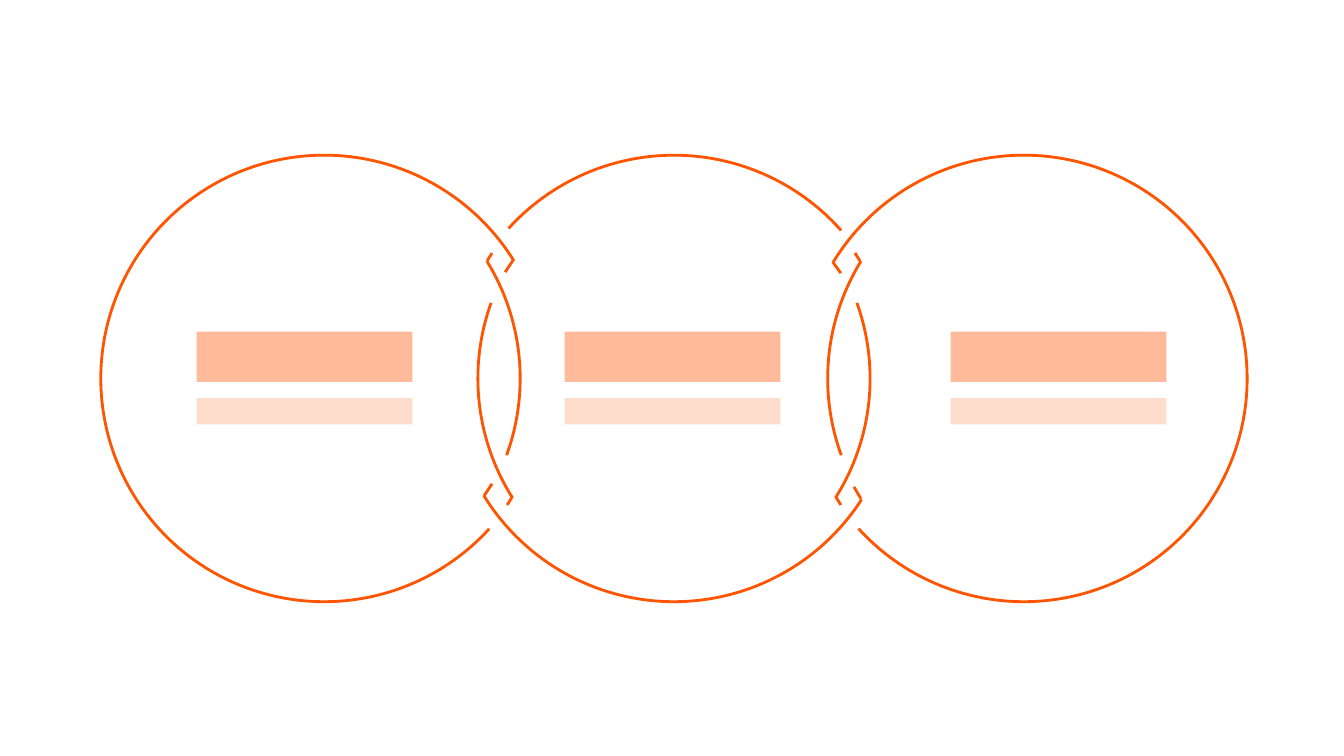
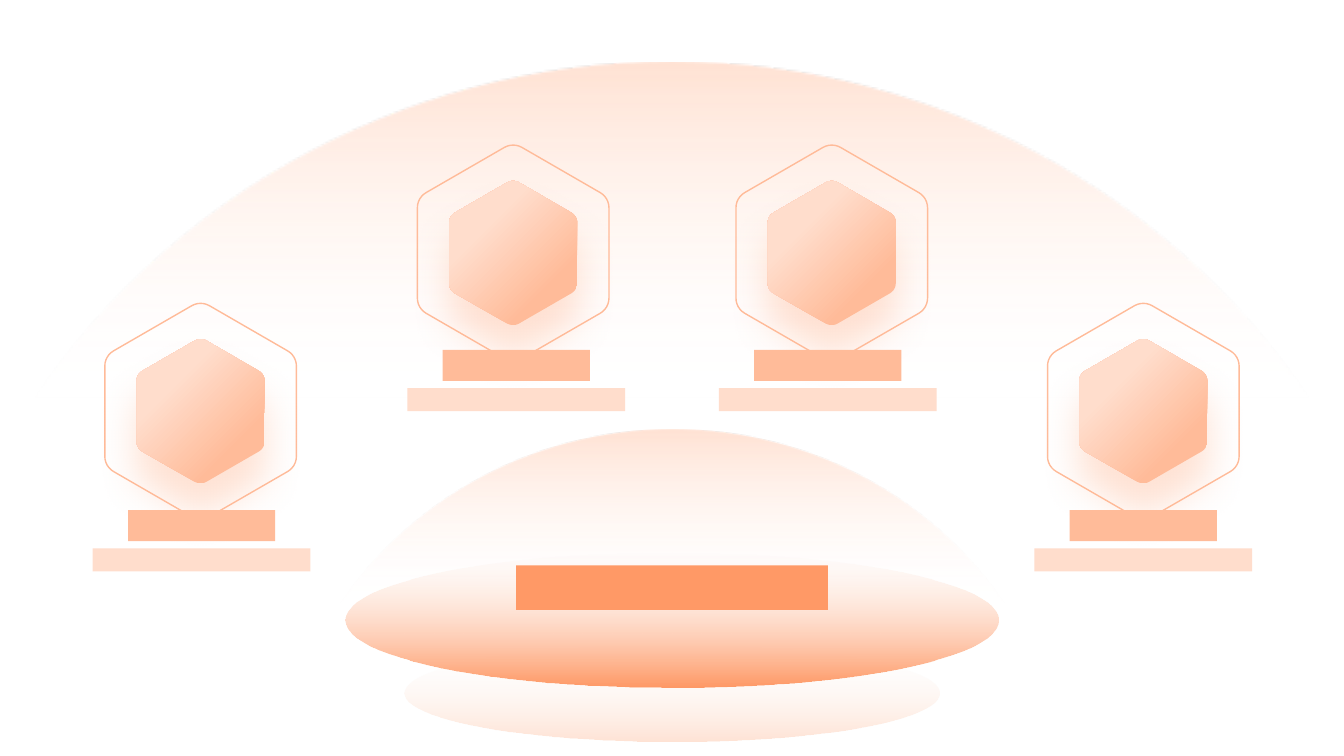
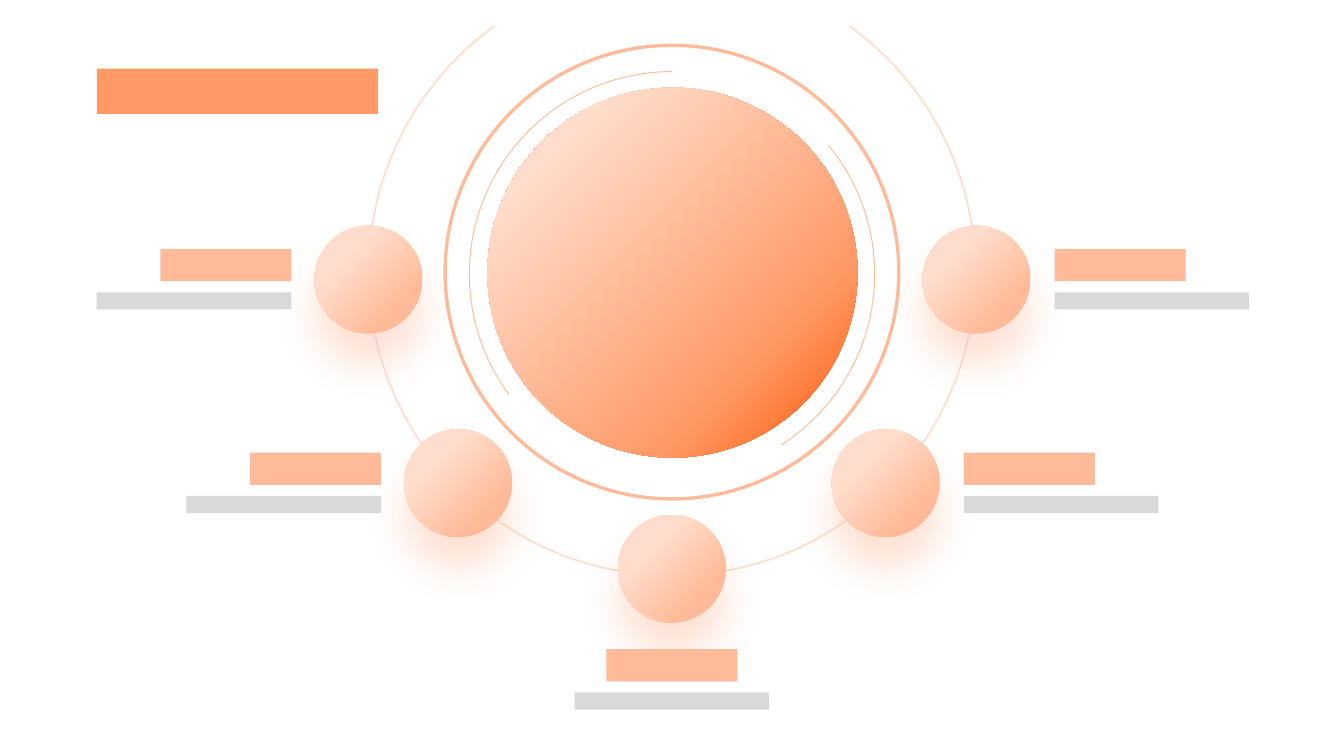
from math import cos, radians, sin

from pptx import Presentation
from pptx.dml.color import RGBColor
from pptx.enum.shapes import MSO_CONNECTOR, MSO_SHAPE
from pptx.oxml import parse_xml
from pptx.oxml.ns import nsdecls
from pptx.util import Inches, Pt

WIDTH, HEIGHT = 13.33, 7.5
VIVID, STRONG, MEDIUM, PALE, GREY = "FF5500", "FF9966", "FFBB99", "FFDDCC", "D9D9D9"
FADE_DOWN = [(0, STRONG, 28), (22, "FFFFFF", 0)]
SPHERE = [(30, PALE, 100), (76, MEDIUM, 100)]
CORE = [(17, PALE, 100), (73, STRONG, 100), (100, VIVID, 100)]

RING = {"left": 1, "step": 3.47, "shift": 0.27, "size": 4.43, "top": 1.54}
RING_ARCS = [
    (0, 0, 42.33, 328.23), (0, -1, 328.3, 20.1),
    (1, 0, 222.21, 318.46), (1, 0, 32.84, 148.3),
    (1, 1, 147.69, 199.78), (1, -1, 340.22, 32.31),
    (2, 0, 211.26, 137.73), (2, 1, 159.9, 211.7),
]
RING_TICKS = [
    (4.88, 2.51, 4.83, 2.59), (5.09, 2.58, 5.01, 2.7),
    (5.03, 5.01, 5.08, 4.93), (4.8, 4.92, 4.88, 4.8),
    (8.48, 2.51, 8.53, 2.59), (8.26, 2.6, 8.34, 2.71),
    (8.34, 5.01, 8.29, 4.93), (8.54, 4.95, 8.47, 4.83),
]
RING_LABELS = [1.95, 5.6, 9.43]

DOMES = [(-0.99, 0.62, 15.32), (2.66, 4.26, 8.02)]
PLATES = [
    (4.01, 6.39, 5.31, 0.97, [(0, STRONG, 28), (100, "FFFFFF", 0)]),
    (3.43, 5.48, 6.47, 1.34, [(0, STRONG, 100), (100, PALE, 0)]),
]
HEXAGONS = [
    (1.99, 4.08, 2, 5.06), (11.34, 4.08, 11.34, 5.06),
    (5.09, 2.51, 5.12, 3.47), (8.25, 2.51, 8.21, 3.47),
]

ORBIT_X = WIDTH / 2
ORBITS = [
    (2.7, 3.01, 305.8, 234.2, PALE, 1.25),
    (2.72, 2.01, 143.5, 270, MEDIUM, 0.67),
    (2.72, 2.01, 320.5, 57.4, MEDIUM, 0.67),
]
MOON = 1.07
MOONS = [
    (6.13, 5.11, "below"), (4.01, 4.26, "left"), (8.25, 4.26, "right"),
    (3.12, 2.24, "left"), (9.15, 2.24, "right"),
]


def color(value):
    return RGBColor.from_string(value)


def paint_gradient(shape, stops, angle=None):
    marks = "".join(
        f'<a:gs pos="{at * 1000}"><a:srgbClr val="{tone}"><a:alpha val="{alpha * 1000}"/></a:srgbClr></a:gs>'
        for at, tone, alpha in stops)
    if angle is None:
        course = '<a:path path="circle"><a:fillToRect r="100000" b="100000"/></a:path>'
    else:
        course = f'<a:lin ang="{angle * 60000}" scaled="0"/>'
    shape.fill.background()
    properties = shape._element.spPr
    gradient = parse_xml(f'<a:gradFill {nsdecls("a")} rotWithShape="1"><a:gsLst>{marks}</a:gsLst>{course}</a:gradFill>')
    properties.replace(properties.find("{*}noFill"), gradient)


def cast_shadow(shape):
    glow = parse_xml(
        f'<a:outerShdw {nsdecls("a")} blurRad="{Pt(27)}" dist="{Pt(22)}" dir="5400000" algn="t" rotWithShape="0">'
        f'<a:srgbClr val="{MEDIUM}"><a:alpha val="42000"/></a:srgbClr></a:outerShdw>')
    shape._element.spPr.find("{*}effectLst").append(glow)


def style(shape, fill=None, line=None, weight=1, angle=None):
    shape.shadow.inherit = False
    if isinstance(fill, list):
        paint_gradient(shape, fill, angle)
    elif fill:
        shape.fill.solid()
        shape.fill.fore_color.rgb = color(fill)
    else:
        shape.fill.background()
    if line:
        shape.line.color.rgb = color(line)
        shape.line.width = Pt(weight)
    else:
        shape.line.fill.background()
    return shape


def draw(slide, kind, left, top, width, height, **look):
    box = [Inches(length) for length in (left, top, width, height)]
    return style(slide.shapes.add_shape(kind, *box), **look)


def bar(slide, left, top, width, height, fill):
    draw(slide, MSO_SHAPE.RECTANGLE, left, top, width, height, fill=fill)


def ellipse(slide, left, top, width, height, **look):
    return draw(slide, MSO_SHAPE.OVAL, left, top, width, height, **look)


def arc(slide, left, top, size, start, end, line, weight):
    curve = draw(slide, MSO_SHAPE.ARC, left, top, size, size, line=line, weight=weight)
    for index, degrees in enumerate((start, end)):
        curve.adjustments[index] = degrees * 0.6


def tick(slide, x1, y1, x2, y2):
    stroke = slide.shapes.add_connector(
        MSO_CONNECTOR.STRAIGHT, *[Inches(length) for length in (x1, y1, x2, y2)])
    stroke.line.color.rgb = color(VIVID)
    stroke.line.width = Pt(2)
    stroke._element.spPr.append(parse_xml(f'<a:effectLst {nsdecls("a")}/>'))


def rounded_hexagon(slide, x, y, width, **look):
    radius = width / 3 ** 0.5
    corner = 0.158 * radius
    reach = radius - corner / cos(radians(30))
    points = [
        (Inches(x + reach * cos(radians(vertex)) + corner * cos(radians(vertex + turn))),
         Inches(y + reach * sin(radians(vertex)) + corner * sin(radians(vertex + turn))))
        for vertex in range(-90, 270, 60) for turn in range(-30, 31, 10)]
    outline = slide.shapes.build_freeform(*points[0])
    outline.add_line_segments(points[1:], close=True)
    return style(outline.convert_to_shape(), **look)


def build_rings(slide):
    for ring, shift, start, end in RING_ARCS:
        left = RING["left"] + ring * RING["step"] + shift * RING["shift"]
        arc(slide, left, RING["top"], RING["size"], start, end, VIVID, 2)
    for ends in RING_TICKS:
        tick(slide, *ends)
    for left in RING_LABELS:
        bar(slide, left, 3.95, 2.14, 0.26, PALE)
        bar(slide, left, 3.29, 2.14, 0.5, MEDIUM)


def build_domes(slide):
    for left, top, size in DOMES:
        ellipse(slide, left, top, size, size, fill=FADE_DOWN, angle=90)
    for left, top, width, height, stops in PLATES:
        ellipse(slide, left, top, width, height, fill=stops, angle=270)
    for x, y, label_x, label_top in HEXAGONS:
        rounded_hexagon(slide, x, y, 1.9, line=MEDIUM)
        cast_shadow(rounded_hexagon(slide, x, y, 1.27, fill=SPHERE))
        bar(slide, label_x - 0.73, label_top, 1.46, 0.31, MEDIUM)
        bar(slide, label_x - 1.08, label_top + 0.38, 2.16, 0.23, PALE)
    bar(slide, 5.12, 5.61, 3.09, 0.44, STRONG)


def build_orbits(slide):
    for y, radius, start, end, line, weight in ORBITS:
        arc(slide, ORBIT_X - radius, y - radius, 2 * radius, start, end, line, weight)
    ellipse(slide, ORBIT_X - 2.25, 0.45, 4.5, 4.5, line=MEDIUM, weight=2.38)
    ellipse(slide, ORBIT_X - 1.83, 0.87, 3.67, 3.67, fill=CORE)
    bar(slide, 0.96, 0.68, 2.79, 0.45, STRONG)
    for left, top, side in MOONS:
        cast_shadow(ellipse(slide, left, top, MOON, MOON, fill=SPHERE))
        label_top = top + (1.33 if side == "below" else 0.23)
        for drop, width, height, fill in ((0, 1.3, 0.32, MEDIUM), (0.43, 1.93, 0.17, GREY)):
            label_left = {
                "left": left - 0.23 - width,
                "right": left + MOON + 0.24,
                "below": left + (MOON - width) / 2,
            }[side]
            bar(slide, label_left, label_top + drop, width, height, fill)


def main():
    deck = Presentation()
    deck.slide_width, deck.slide_height = Inches(WIDTH), Inches(HEIGHT)
    for build in (build_rings, build_domes, build_orbits):
        build(deck.slides.add_slide(deck.slide_layouts[6]))
    deck.save("out.pptx")


if __name__ == "__main__":
    main()
